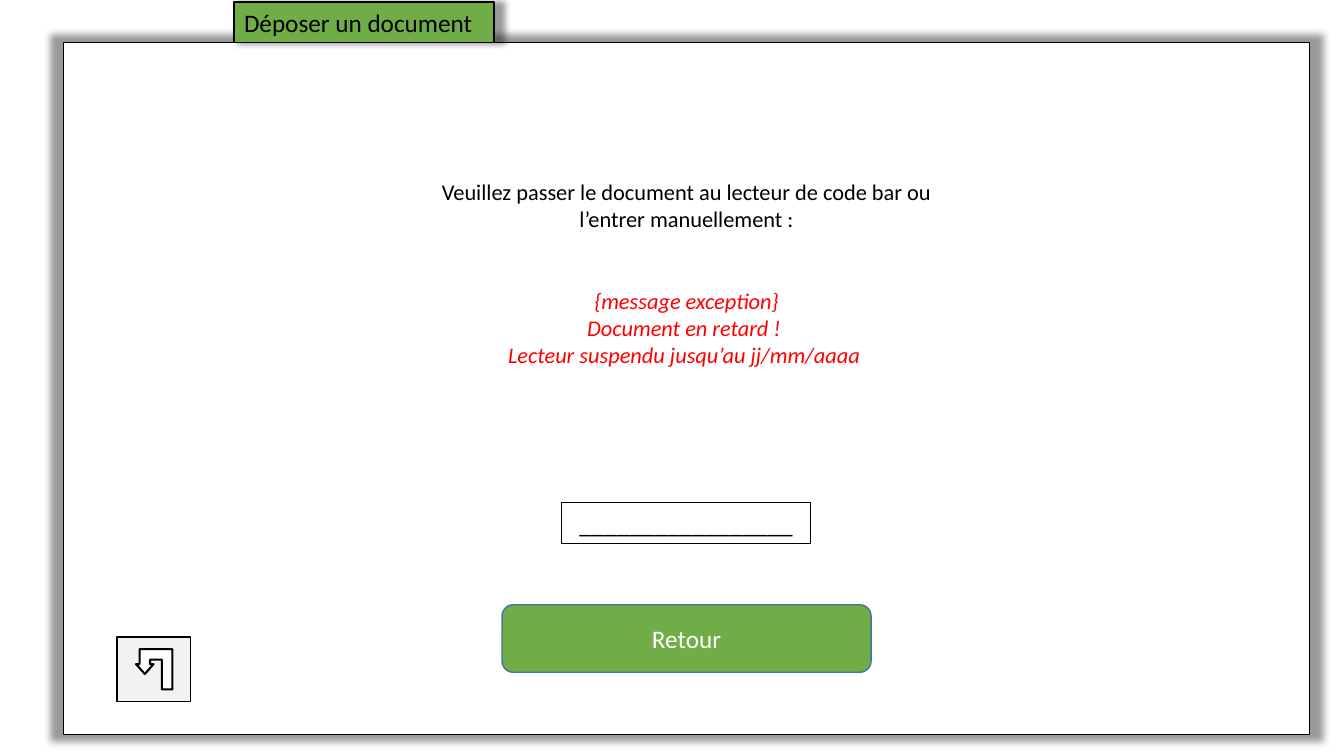
from lxml import etree
from pptx import Presentation
from pptx import util as u
from pptx.dml.color import RGBColor
from pptx.enum import shapes, text
from pptx.oxml.ns import qn

INK = {"black": "000000", "white": "FFFFFF", "green": "70AD47",
       "edge": "43739E", "red": "FF0000", "pale": "F2F2F2"}
KIND = shapes.MSO_SHAPE
SIDE = text.PP_ALIGN


def color(name):
    return RGBColor.from_string(INK[name])


def place(shape, box):
    shape.left, shape.top, shape.width, shape.height = map(u.Inches, box)


def paint(shape, fill=None, line=None, width=1):
    if fill:
        shape.fill.solid()
        shape.fill.fore_color.rgb = color(fill)
    else:
        shape.fill.background()
    if line:
        shape.line.color.rgb = color(line)
        shape.line.width = u.Pt(width)
    else:
        shape.line.fill.background()


def draw(parent, kind, box, fill=None, line=None, width=1):
    shape = parent.add_shape(kind, *map(u.Inches, box))
    shape.shadow.inherit = False
    paint(shape, fill, line, width)
    return shape


def glow(shape):
    """Soft shadow, slightly larger than the shape and centred on it."""
    shape.shadow.inherit = False
    effects = shape._element.spPr.find(qn("a:effectLst"))
    outer = etree.SubElement(
        effects, qn("a:outerShdw"), blurRad=str(u.Pt(5)), dist="0",
        sx="102000", sy="102000", algn="ctr", rotWithShape="0")
    tint = etree.SubElement(outer, qn("a:srgbClr"), val=INK["black"])
    etree.SubElement(tint, qn("a:alpha"), val="40000")


def write(shape, words, size=18, ink="black", align=SIDE.CENTER,
          anchor=text.MSO_ANCHOR.MIDDLE, italic=False):
    frame = shape.text_frame
    frame.text = words
    frame.word_wrap = True
    frame.vertical_anchor = anchor
    for para in frame.paragraphs:
        para.alignment = align
        para.line_spacing = 1.0
        for run in para.runs:
            run.font.name = "Calibri"
            run.font.size = u.Pt(size)
            run.font.italic = italic
            run.font.color.rgb = color(ink)


# Window frame with its title tab on the upper edge
def window(slide, box):
    x, y, _, _ = box
    glow(draw(slide.shapes, KIND.RECTANGLE, box, "white", "black"))
    tab = slide.shapes.title
    slide.shapes._spTree.append(tab._element)  # bring in front of the frame
    place(tab, (x + 1.69, y - 0.4, 2.58, 0.4))
    paint(tab, "green", "black")
    glow(tab)
    write(tab, "Déposer un document", align=SIDE.LEFT,
          anchor=text.MSO_ANCHOR.TOP)


# Prompt, error message, entry field and button, all centred in the box
def form(slide, box):
    x, y, wide, _ = box
    mid = x + wide / 2
    parts = slide.shapes

    button = draw(parts, KIND.ROUNDED_RECTANGLE,
                  (mid - 1.83, y + 4.51, 3.66, 0.67), "green", "edge")
    write(button, "Retour", ink="white")

    prompt = draw(parts, KIND.ROUNDED_RECTANGLE, (x, y, wide, 1.09))
    write(prompt, "Veuillez passer le document au lecteur de code bar ou "
          "l’entrer manuellement :", 16)

    field = draw(parts, KIND.RECTANGLE,
                 (mid - 1.24, y + 3.5, 2.47, 0.4), None, "black", 0.75)
    write(field, "_" * 17, anchor=text.MSO_ANCHOR.TOP)

    alert = parts.add_textbox(*map(u.Inches, (x, y + 1.31, wide, 0.91)))
    write(alert, "{message exception}\nDocument en retard ! \n"
          "Lecteur suspendu jusqu’au jj/mm/aaaa ", 16, "red",
          anchor=text.MSO_ANCHOR.TOP, italic=True)


# Back key: a pale square with a U-turn arrow
def back(slide, box):
    x, y, _, _ = box
    group = slide.shapes.add_group_shape()
    draw(group.shapes, KIND.RECTANGLE, box, "pale", "black")
    arrow = draw(group.shapes, KIND.U_TURN_ARROW,
                 (x + 0.19, y + 0.12, 0.36, 0.4), "white", "black", 1.5)
    for i, value in enumerate((0.288, 0.241, 0.273, 0, 0.617)):
        arrow.adjustments[i] = value
    arrow._element.spPr.find(qn("a:xfrm")).set("flipH", "1")


def main():
    deck = Presentation()
    deck.slide_width, deck.slide_height = u.Inches(13.33), u.Inches(7.5)
    slide = deck.slides.add_slide(deck.slide_layouts[5])
    window(slide, (0.63, 0.42, 12.36, 6.87))
    form(slide, (3.96, 1.49, 5.7, 5.18))
    back(slide, (1.16, 6.32, 0.73, 0.64))
    deck.save("out.pptx")


if __name__ == "__main__":
    main()
